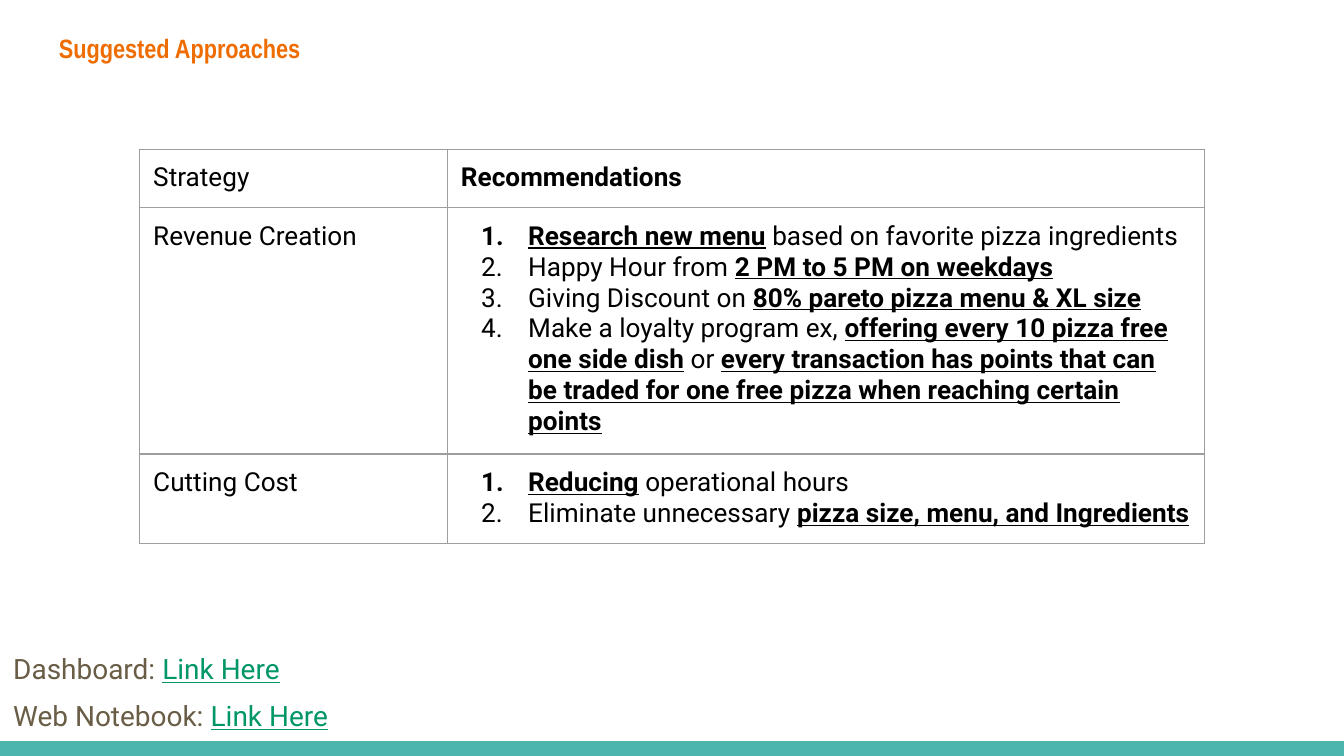
from lxml import etree
from pptx import Presentation
from pptx.dml.color import RGBColor
from pptx.enum.shapes import MSO_SHAPE
from pptx.enum.text import MSO_ANCHOR
from pptx.oxml.ns import qn
from pptx.util import Inches, Pt

RECTANGLE = MSO_SHAPE.RECTANGLE
TOP = MSO_ANCHOR.TOP

TEAL = RGBColor(0x4D, 0xB6, 0xAC)
ORANGE = RGBColor(0xEF, 0x6C, 0x00)
BLACK = RGBColor(0, 0, 0)
GREY = RGBColor(0x9E, 0x9E, 0x9E)
BROWN = RGBColor(0x69, 0x5D, 0x46)
GREEN = RGBColor(0x00, 0x96, 0x68)

SLIDE_WIDTH = Inches(10)
SLIDE_HEIGHT = SLIDE_WIDTH * 9 // 16
MARGIN = Inches(0.1)
TITLE = {"name": "Arial Narrow", "size": Pt(14.2), "bold": True}
PLAIN = {"name": "Roboto", "size": Pt(14), "bold": False}
BOLD = {**PLAIN, "bold": True}
KEY = {**BOLD, "underline": True}
LABEL = {"name": "Roboto", "size": Pt(15)}
LINK = {**LABEL, "underline": True}

COLUMN_WIDTHS = [2.29, 5.63]
MIN_ROW_HEIGHT = 0.42
STRATEGIES = [
    ("Revenue Creation", [
        [("Research new menu", KEY), (" based on favorite pizza ingredients", PLAIN)],
        [("Happy Hour from ", PLAIN), ("2 PM to 5 PM on weekdays", KEY)],
        [("Giving Discount on ", PLAIN), ("80% pareto pizza menu & XL size", KEY)],
        [("Make a loyalty program ex, ", PLAIN),
         ("offering every 10 pizza free one side dish", KEY),
         (" or ", PLAIN),
         ("every transaction has points that can be traded for one free pizza "
          "when reaching certain points", KEY)],
    ]),
    ("Cutting Cost", [
        [("Reducing", KEY), (" operational hours", PLAIN)],
        [("Eliminate unnecessary ", PLAIN), ("pizza size, menu, and Ingredients", KEY)],
    ]),
]
LINK_LABELS = ["Dashboard: ", "Web Notebook: "]


def add_run(paragraph, text, font_format, color):
    run = paragraph.add_run()
    run.text = text
    for attribute, value in font_format.items():
        setattr(run.font, attribute, value)
    run.font.color.rgb = color


def add_text_box(slide, left, top, width, height):
    """Add an empty wrapped text box and return its first paragraph."""
    frame = slide.shapes.add_textbox(left, top, width, height).text_frame
    frame.word_wrap = True
    frame.vertical_anchor = TOP
    for side in ("left", "right", "top", "bottom"):
        setattr(frame, f"margin_{side}", MARGIN)
    return frame.paragraphs[0]


def add_footer_bar(slide, left, top, width, height):
    bar = slide.shapes.add_shape(RECTANGLE, left, top, width, height)
    bar.shadow.inherit = False
    bar.fill.solid()
    bar.fill.fore_color.rgb = TEAL
    bar.line.fill.background()


def add_title(slide, left, top, width, height):
    paragraph = add_text_box(slide, left, top, width, height)
    add_run(paragraph, "Suggested Approaches", TITLE, ORANGE)


def number_paragraph(paragraph):
    properties = paragraph._p.get_or_add_pPr()
    properties.set("marL", str(Inches(0.5)))
    properties.set("indent", str(Inches(-0.35)))
    bullet_color = etree.SubElement(properties, qn("a:buClr"))
    etree.SubElement(bullet_color, qn("a:srgbClr"), val=str(BLACK))
    etree.SubElement(properties, qn("a:buAutoNum"), type="arabicPeriod")


def format_cell(cell):
    """Clear the fill, set the margins and draw a thin grey border."""
    cell.fill.background()
    cell.vertical_anchor = TOP
    for side in ("left", "right", "top", "bottom"):
        setattr(cell, f"margin_{side}", MARGIN)
    properties = cell._tc.get_or_add_tcPr()
    for position, tag in enumerate(("a:lnL", "a:lnR", "a:lnT", "a:lnB")):
        border = etree.Element(qn(tag), w=str(Pt(0.75)))
        fill = etree.SubElement(border, qn("a:solidFill"))
        etree.SubElement(fill, qn("a:srgbClr"), val=str(GREY))
        properties.insert(position, border)


def fill_cell(cell, lines, numbered=False):
    format_cell(cell)
    frame = cell.text_frame
    for index, line in enumerate(lines):
        paragraph = frame.add_paragraph() if index else frame.paragraphs[0]
        if numbered:
            number_paragraph(paragraph)
        for text, font_format in line:
            add_run(paragraph, text, font_format, BLACK)


def add_strategy_table(slide, left, top, width, height):
    """Add the table; its rows grow from equal minimum heights to fit the text."""
    table = slide.shapes.add_table(
        len(STRATEGIES) + 1, len(COLUMN_WIDTHS), left, top, width, height).table
    table.first_row = False
    table.horz_banding = False
    for column, share in zip(table.columns, COLUMN_WIDTHS):
        column.width = int(width * share / sum(COLUMN_WIDTHS))
    fill_cell(table.cell(0, 0), [[("Strategy", PLAIN)]])
    fill_cell(table.cell(0, 1), [[("Recommendations", BOLD)]])
    for row, (strategy, recommendations) in enumerate(STRATEGIES, start=1):
        fill_cell(table.cell(row, 0), [[(strategy, PLAIN)]])
        fill_cell(table.cell(row, 1), recommendations, numbered=True)


def add_links(slide, left, top, width, height):
    pitch = height // len(LINK_LABELS)
    for index, label in enumerate(LINK_LABELS):
        paragraph = add_text_box(
            slide, left, top + index * pitch, width, Inches(0.45))
        paragraph.line_spacing = 1.15
        paragraph.space_after = Pt(12)
        add_run(paragraph, label, LABEL, BROWN)
        add_run(paragraph, "Link Here", LINK, GREEN)


def main():
    presentation = Presentation()
    presentation.slide_width = SLIDE_WIDTH
    presentation.slide_height = SLIDE_HEIGHT
    slide = presentation.slides.add_slide(presentation.slide_layouts[6])
    bar_height = Inches(0.11)
    add_footer_bar(slide, 0, SLIDE_HEIGHT - bar_height, SLIDE_WIDTH, bar_height)
    add_title(slide, Inches(0.34), Inches(0.14), Inches(2.99), Inches(0.34))
    add_strategy_table(slide, Inches(1.04), Inches(1.11),
                       Inches(sum(COLUMN_WIDTHS)),
                       Inches(MIN_ROW_HEIGHT * (len(STRATEGIES) + 1)))
    add_links(slide, 0, Inches(4.71), Inches(5.09), Inches(0.7))
    presentation.save("out.pptx")


if __name__ == "__main__":
    main()
